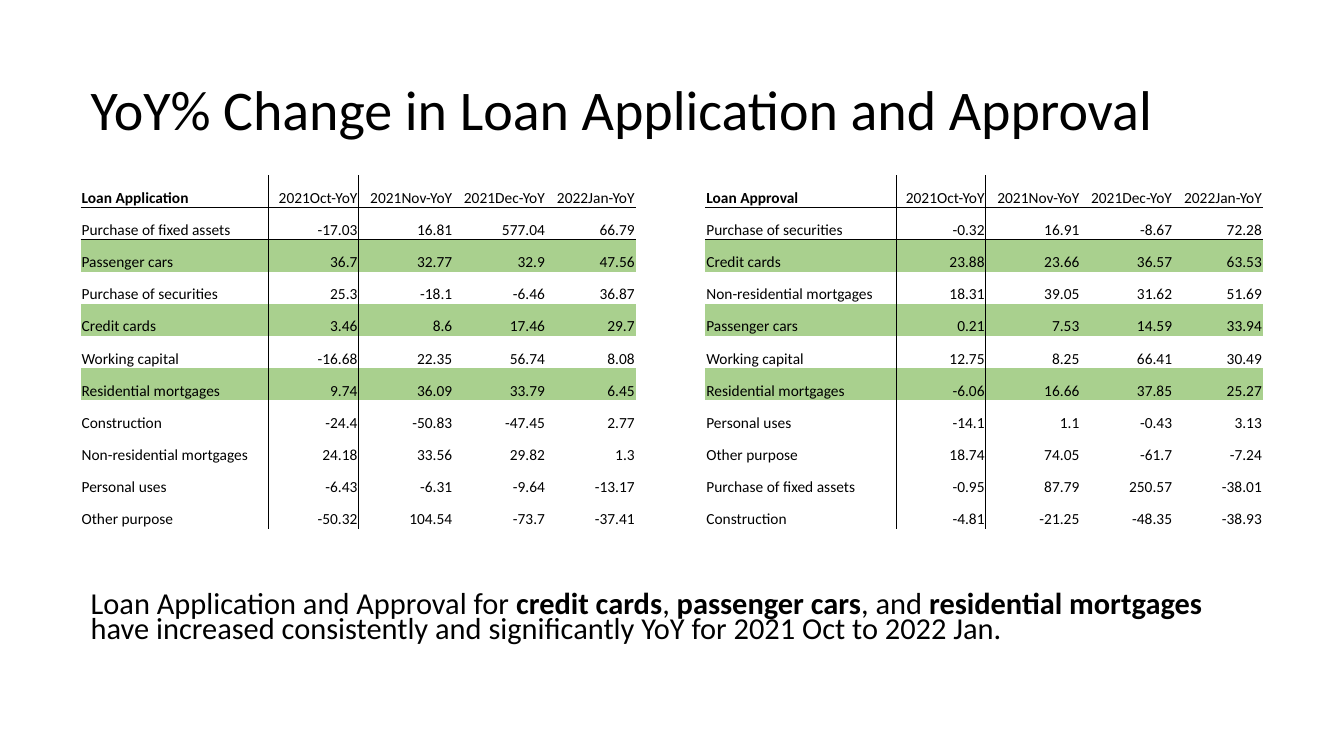
import dataclasses

import pptx
import pptx.dml.color
import pptx.enum.text
import pptx.oxml.ns
import pptx.util
from lxml import etree

BLACK = pptx.dml.color.RGBColor(0x00, 0x00, 0x00)
GREEN = pptx.dml.color.RGBColor(0xA9, 0xD0, 0x8E)
FONT = "Calibri"
LEFT = pptx.enum.text.PP_ALIGN.LEFT
RIGHT = pptx.enum.text.PP_ALIGN.RIGHT
SLIDE_WIDTH = pptx.util.Inches(13.33)
SLIDE_HEIGHT = pptx.util.Inches(7.5)
NO_TABLE_STYLE = "{2D5ABB26-0587-4C30-8999-92F81FD0307C}"

# Column widths in percent of the slide's width
MONTH_COLUMNS = [6.68, 7.05, 6.9, 6.68]
GAP_COLUMN = 5.18
MONTHS = ("2021Oct-YoY", "2021Nov-YoY", "2021Dec-YoY", "2022Jan-YoY")
HIGHLIGHTED = {"Passenger cars", "Credit cards", "Residential mortgages"}


@dataclasses.dataclass(frozen=True)
class LoanBlock:
    heading: str
    label_width: float
    rows: list[tuple[str, ...]]


APPLICATION = LoanBlock("Loan Application", 14, [
    ("Purchase of fixed assets", "-17.03", "16.81", "577.04", "66.79"),
    ("Passenger cars", "36.7", "32.77", "32.9", "47.56"),
    ("Purchase of securities", "25.3", "-18.1", "-6.46", "36.87"),
    ("Credit cards", "3.46", "8.6", "17.46", "29.7"),
    ("Working capital", "-16.68", "22.35", "56.74", "8.08"),
    ("Residential mortgages", "9.74", "36.09", "33.79", "6.45"),
    ("Construction", "-24.4", "-50.83", "-47.45", "2.77"),
    ("Non-residential mortgages", "24.18", "33.56", "29.82", "1.3"),
    ("Personal uses", "-6.43", "-6.31", "-9.64", "-13.17"),
    ("Other purpose", "-50.32", "104.54", "-73.7", "-37.41"),
])
APPROVAL = LoanBlock("Loan Approval", 14.18, [
    ("Purchase of securities", "-0.32", "16.91", "-8.67", "72.28"),
    ("Credit cards", "23.88", "23.66", "36.57", "63.53"),
    ("Non-residential mortgages", "18.31", "39.05", "31.62", "51.69"),
    ("Passenger cars", "0.21", "7.53", "14.59", "33.94"),
    ("Working capital", "12.75", "8.25", "66.41", "30.49"),
    ("Residential mortgages", "-6.06", "16.66", "37.85", "25.27"),
    ("Personal uses", "-14.1", "1.1", "-0.43", "3.13"),
    ("Other purpose", "18.74", "74.05", "-61.7", "-7.24"),
    ("Purchase of fixed assets", "-0.95", "87.79", "250.57", "-38.01"),
    ("Construction", "-4.81", "-21.25", "-48.35", "-38.93"),
])
TAKEAWAY = [
    ("Loan Application and Approval for ", False),
    ("credit cards", True),
    (", ", False),
    ("passenger cars", True),
    (", and ", False),
    ("residential mortgages ", True),
    ("have increased consistently and significantly YoY for 2021 Oct to 2022 Jan.", False),
]


def across(percent: float) -> int:
    return round(SLIDE_WIDTH * percent / 100)


def down(percent: float) -> int:
    return round(SLIDE_HEIGHT * percent / 100)


def place(shape, left: float, top: float, width: float, height: float) -> None:
    shape.left, shape.top = across(left), down(top)
    shape.width, shape.height = across(width), down(height)


def add_run(paragraph, text: str, size: float, bold: bool = False) -> None:
    run = paragraph.add_run()
    run.text = text
    run.font.name = FONT
    run.font.size = pptx.util.Pt(size)
    run.font.bold = bold
    run.font.color.rgb = BLACK


def add_border(cell, edge: str) -> None:
    properties = cell._tc.get_or_add_tcPr()
    line = etree.SubElement(properties, pptx.oxml.ns.qn(f"a:ln{edge}"), w=str(pptx.util.Pt(0.5)))
    fill = etree.SubElement(line, pptx.oxml.ns.qn("a:solidFill"))
    etree.SubElement(fill, pptx.oxml.ns.qn("a:srgbClr"), val=str(BLACK))


def fill_block(table, block: LoanBlock, first_column: int) -> None:
    for row, values in enumerate([(block.heading, *MONTHS), *block.rows]):
        for column, text in enumerate(values):
            cell = table.cell(row, first_column + column)
            paragraph = cell.text_frame.paragraphs[0]
            paragraph.alignment = RIGHT if column else LEFT
            add_run(paragraph, text, 11, bold=row == column == 0)
            # Rules beside the labels and below the header, shared by both cells
            rules = {"L": column == 1, "R": column == 0, "T": row == 1, "B": row == 0}
            for edge, drawn in rules.items():
                if drawn:
                    add_border(cell, edge)
            if values[0] in HIGHLIGHTED:
                cell.fill.solid()
                cell.fill.fore_color.rgb = GREEN


def add_loan_table(slide) -> None:
    widths = [APPLICATION.label_width, *MONTH_COLUMNS, GAP_COLUMN,
              APPROVAL.label_width, *MONTH_COLUMNS]
    row_count = len(APPLICATION.rows) + 1
    frame = slide.shapes.add_table(row_count, len(widths), across(6), down(23.2),
                                   across(sum(widths)), down(46.8))
    table = frame.table
    table.first_row = table.horz_banding = False
    table._tbl.tblPr.find(pptx.oxml.ns.qn("a:tableStyleId")).text = NO_TABLE_STYLE
    for column, width in zip(table.columns, widths):
        column.width = across(width)
    for cell in table.iter_cells():
        cell.margin_left = cell.margin_right = cell.margin_top = pptx.util.Inches(0.01)
        cell.margin_bottom = 0
        cell.vertical_anchor = pptx.enum.text.MSO_ANCHOR.BOTTOM
    fill_block(table, APPLICATION, 0)
    fill_block(table, APPROVAL, len(MONTH_COLUMNS) + 2)


def add_title(title) -> None:
    place(title, 6, 5.2, 86.27, 19.33)
    title.text_frame.auto_size = pptx.enum.text.MSO_AUTO_SIZE.NONE
    title.text_frame.vertical_anchor = pptx.enum.text.MSO_ANCHOR.MIDDLE
    paragraph = title.text_frame.paragraphs[0]
    paragraph.alignment = LEFT
    paragraph.line_spacing = 0.9
    add_run(paragraph, "YoY% Change in Loan Application and Approval", 40)


def add_takeaway(body) -> None:
    place(body, 6, 72.67, 86.27, 17.33)
    body.text_frame.auto_size = pptx.enum.text.MSO_AUTO_SIZE.NONE
    body.text_frame.margin_top = down(5.9)
    paragraph = body.text_frame.paragraphs[0]
    paragraph.line_spacing = 0.7
    paragraph.space_before = pptx.util.Pt(10)
    # No bullet and no hanging indent
    properties = paragraph._p.get_or_add_pPr()
    properties.set("marL", "0")
    properties.set("indent", "0")
    etree.SubElement(properties, pptx.oxml.ns.qn("a:buNone"))
    for text, bold in TAKEAWAY:
        add_run(paragraph, text, 21.7, bold)


def main() -> None:
    deck = pptx.Presentation()
    deck.slide_width, deck.slide_height = SLIDE_WIDTH, SLIDE_HEIGHT
    slide = deck.slides.add_slide(deck.slide_layouts[1])
    add_title(slide.shapes.title)
    add_takeaway(slide.placeholders[1])
    add_loan_table(slide)
    deck.save("out.pptx")


if __name__ == "__main__":
    main()
